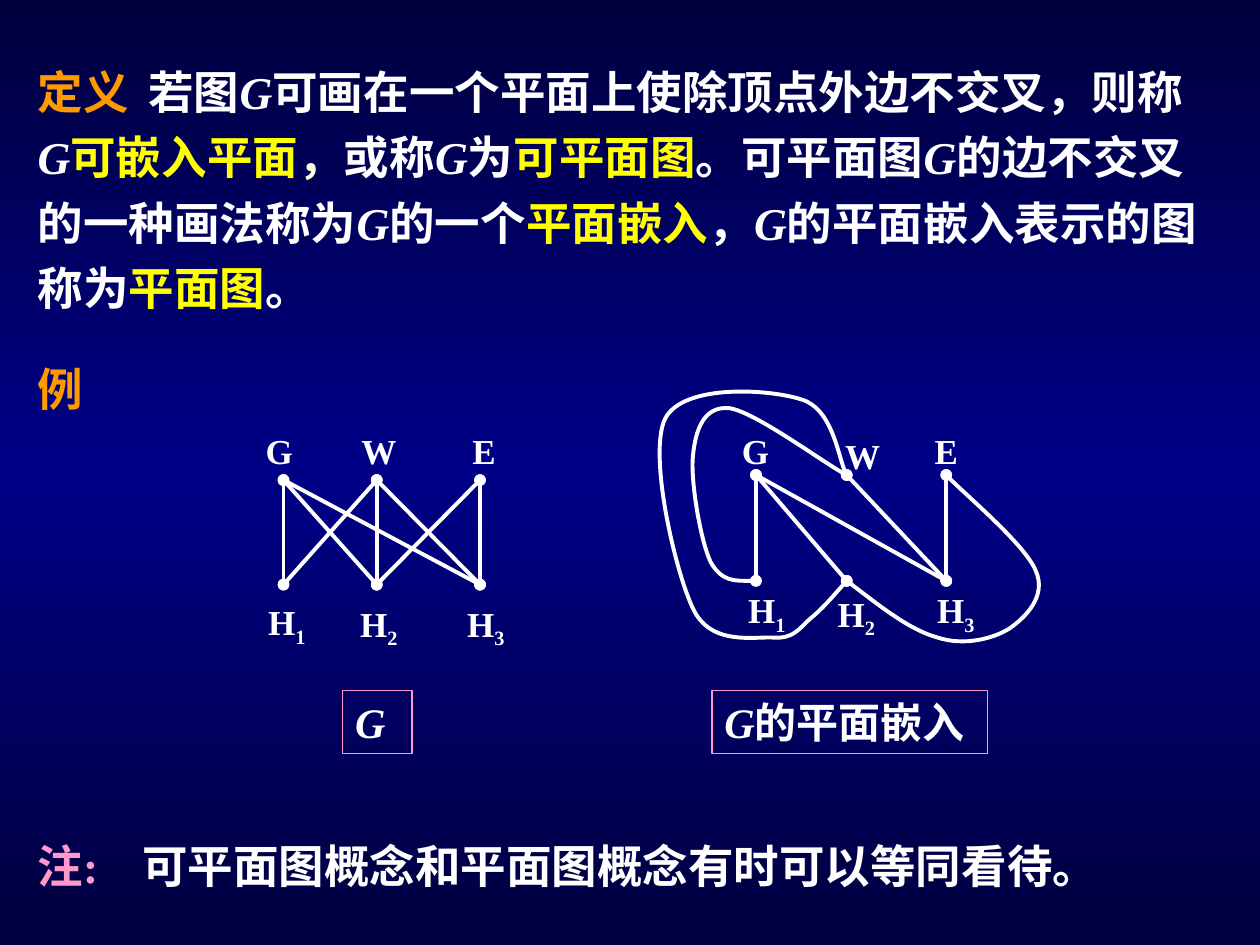
from copy import deepcopy

from pptx import Presentation
from pptx.dml.color import RGBColor
from pptx.enum.lang import MSO_LANGUAGE_ID
from pptx.enum.shapes import MSO_CONNECTOR, MSO_SHAPE
from pptx.enum.text import MSO_ANCHOR, PP_ALIGN
from pptx.oxml.ns import qn
from pptx.util import Inches, Pt

STRAIGHT = MSO_CONNECTOR.STRAIGHT
RECTANGLE = MSO_SHAPE.RECTANGLE
TOP = MSO_ANCHOR.TOP
LEFT = PP_ALIGN.LEFT
CHINESE = MSO_LANGUAGE_ID.SIMPLIFIED_CHINESE
WHITE, YELLOW, ORANGE, PINK = "FFFFFF", "FFFF00", "FF9900", "FF99CC"
color = RGBColor.from_string


def write(box, runs, size, spacing=None, tab=None):
    frame = box.text_frame
    frame.word_wrap = True
    frame.vertical_anchor = TOP
    para = frame.paragraphs[0]
    para.alignment = LEFT
    if spacing:
        para.line_spacing = spacing
    if tab:
        properties = para._p.get_or_add_pPr()
        tabs = properties.makeelement(qn("a:tabLst"), {})
        tabs.append(tabs.makeelement(qn("a:tab"), {"pos": str(Inches(tab)), "algn": "l"}))
        properties.append(tabs)
    for text, shade, style in runs:
        span = para.add_run()
        span.text = text
        span.font.name = "Times New Roman"
        span.font.size = Pt(size)
        span.font.bold = True
        span.font.italic = style == "italic"
        span.font.language_id = CHINESE
        span.font.color.rgb = color(shade)
        if style == "sub":
            span.font._element.set("baseline", "-25000")


def style_edge(edge):
    edge.line.color.rgb = color(WHITE)
    edge.line.width = Pt(2.25)
    outline = edge.line._get_or_add_ln()
    for end in ("a:headEnd", "a:tailEnd"):
        outline.append(outline.makeelement(qn(end), {"type": "oval"}))


deck = Presentation()
deck.slide_width, deck.slide_height = Inches(10), Inches(7.5)
page = deck.slides.add_slide(deck.slide_layouts[6])

fill = page.background.fill
fill.gradient()
fill.gradient_angle = 270
stop_list = page.element.find(".//" + qn("a:gsLst"))
stop_list.append(deepcopy(stop_list[0]))
for stop, position, shade in zip(fill.gradient_stops, (0, 0.5, 1), ("00003E", "000086", "00003E")):
    stop.position = position
    stop.color.rgb = color(shade)

G = ("G", WHITE, "italic")
definition = [
    ("定义\t", ORANGE, None), ("若图", WHITE, None), G,
    ("可画在一个平面上使除顶点外边不交叉，则称 ", WHITE, None), G,
    ("可嵌入平面", YELLOW, None), ("，", "FFFFE1", None), ("或称", WHITE, None), G,
    ("为", WHITE, None), ("可平面图", YELLOW, None), ("。可平面图", WHITE, None), G,
    ("的边不交叉的一种画法称为", WHITE, None), G, ("的一个", WHITE, None),
    ("平面嵌入", YELLOW, None), ("，", WHITE, None), G,
    ("的平面嵌入表示的图称为", WHITE, None), ("平面图", YELLOW, None), ("。", WHITE, None),
]
note = [("注:\t", PINK, None), ("可平面图概念和平面图概念有时可以等同看待。", WHITE, None)]
for left, top, width, height, runs, spacing, tab in (
    (0.2, 0.37, 9.61, 2.18, definition, 1.2, 0.88),
    (0.2, 2.73, 0.71, 0.62, [("例", ORANGE, None)], 1.2, None),
    (0.2, 6.6, 8.82, 0.54, note, None, 0.83),
):
    box = page.shapes.add_textbox(Inches(left), Inches(top), Inches(width), Inches(height))
    write(box, runs, 26, spacing, tab)

curves = (
    ((6, 4.61), (5.86, 4.61), (5.73, 4.62), (5.64, 4.46), (5.56, 4.29), (5.48, 3.82),
     (5.5, 3.62), (5.52, 3.42), (5.58, 3.22), (5.79, 3.24), (5.99, 3.27), (6.56, 3.69),
     (6.72, 3.77)),
    ((6.72, 4.61), (6.62, 4.72), (6.53, 4.83), (6.43, 4.91), (6.34, 4.99), (6.3, 5.07),
     (6.14, 5.06), (5.99, 5.05), (5.64, 5.13), (5.5, 4.83), (5.36, 4.54), (5.14, 3.6),
     (5.28, 3.32), (5.43, 3.04), (6.12, 3.09), (6.36, 3.17), (6.6, 3.24), (6.66, 3.67),
     (6.72, 3.77)),
    ((6.72, 4.61), (6.97, 4.8), (7.22, 5), (7.44, 5.06), (7.65, 5.13), (7.88, 5.07),
     (8.01, 4.99), (8.14, 4.9), (8.31, 4.73), (8.22, 4.53), (8.14, 4.33), (7.63, 3.9),
     (7.51, 3.77)),
)
graphs = (
    ((2.25, 2.99, 3.81), 3.81, 4.64,
     ((0, 0), (1, 1), (2, 2), (0, 1), (0, 2), (1, 0), (1, 2), (2, 1)), (), 0.54,
     (("H1", 2.03, 4.72), ("E", 3.65, 3.36), ("W", 2.77, 3.36), ("G", 2.01, 3.36),
      ("H2", 2.76, 4.73), ("H3", 3.61, 4.73)),
     2.72, 0.55, [G]),
    ((6, 6.72, 7.51), 3.77, 4.61,
     ((0, 0), (2, 2), (0, 1), (0, 2), (1, 2)), curves, 0.52,
     (("E", 7.32, 3.36), ("W", 6.61, 3.4), ("G", 5.79, 3.36),
      ("H1", 5.84, 4.62), ("H2", 6.55, 4.65), ("H3", 7.34, 4.62)),
     5.65, 2.19, [G, ("的平面嵌入", WHITE, None)]),
)
for (columns, upper, lower, edges, arcs, letter_width, labels,
     caption_left, caption_width, caption_runs) in graphs:
    shapes = page.shapes.add_group_shape().shapes
    for start, end in edges:
        edge = shapes.add_connector(STRAIGHT, Inches(columns[start]), Inches(upper),
                                    Inches(columns[end]), Inches(lower))
        style_edge(edge)
        edge._element.spPr.append(edge._element.makeelement(qn("a:effectLst"), {}))

    for knots in arcs:
        points = [(Inches(x), Inches(y)) for x, y in knots]
        builder = shapes.build_freeform(*points[0])
        builder.add_line_segments(points[1:], close=False)
        curve = builder.convert_to_shape()
        outline = curve._element.find(".//" + qn("a:path"))
        segments = outline.findall(qn("a:lnTo"))
        for first in range(0, len(segments), 3):
            bend = outline.makeelement(qn("a:cubicBezTo"), {})
            outline.append(bend)
            for segment in segments[first:first + 3]:
                bend.append(segment[0])
                outline.remove(segment)
        curve.shadow.inherit = False
        curve.fill.background()
        style_edge(curve)

    for name, left, top in labels:
        width, height = (letter_width, 0.44) if len(name) == 1 else (0.57, 0.48)
        label = shapes.add_textbox(Inches(left), Inches(top), Inches(width), Inches(height))
        runs = [(name[0], WHITE, None)]
        if len(name) > 1:
            runs.append((name[1], WHITE, "sub"))
        write(label, runs, 20)

    caption = shapes.add_shape(RECTANGLE, Inches(caption_left), Inches(5.48),
                               Inches(caption_width), Inches(0.5))
    caption.shadow.inherit = False
    caption.fill.background()
    caption.line.color.rgb = color(PINK)
    caption.line.width = Pt(0.75)
    write(caption, caption_runs, 24)
    caption.text_frame.word_wrap = False

deck.save("out.pptx")
